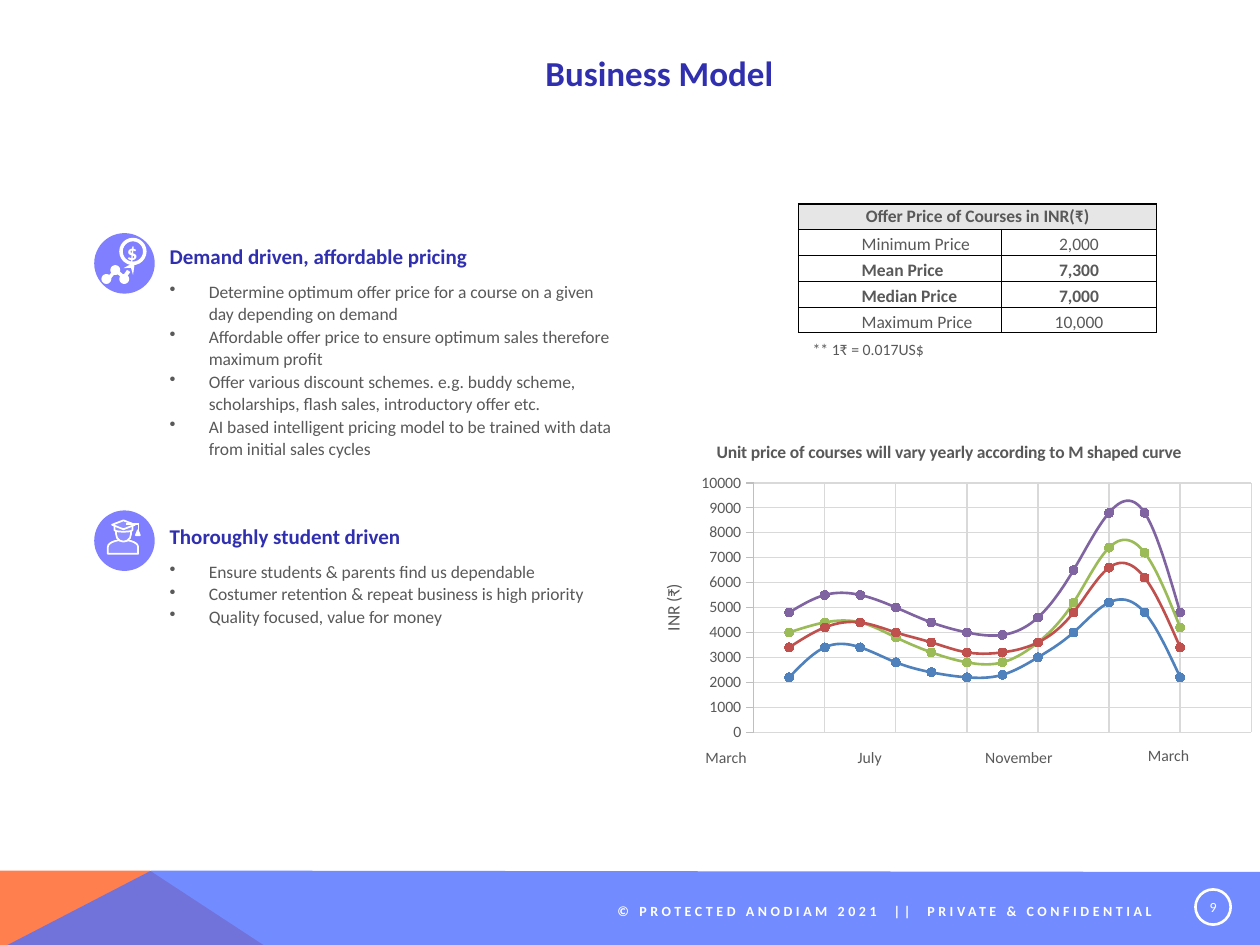
import pptx
import pptx.chart.data
import pptx.dml.color
import pptx.enum.chart
import pptx.enum.shapes
import pptx.enum.text
import pptx.oxml
import pptx.oxml.ns
import pptx.util
from lxml import etree

Cm, Pt, qn = pptx.util.Cm, pptx.util.Pt, pptx.oxml.ns.qn
SHAPE = pptx.enum.shapes.MSO_SHAPE
ALIGN = pptx.enum.text.PP_ALIGN
ANCHOR = pptx.enum.text.MSO_ANCHOR
FONT = "Calibri"
COLORS = {
    "heading": "2F2FAF", "body": "595959", "white": "FFFFFF", "black": "000000",
    "table_head": "E7E6E6", "grid": "D9D9D9", "axis": "BFBFBF",
    "orange": "FF7F4F", "band": "4F6FFF", "disc": "7F7FFF", "student": "8F8FFF",
}
PRICES = [("Minimum Price", "2,000", False), ("Mean Price", "7,300", True),
          ("Median Price", "7,000", True), ("Maximum Price", "10,000", False)]
PRICE_CURVES = [
    ("4F81BD", [2200, 3400, 3400, 2800, 2400, 2200, 2300, 3000, 4000, 5200, 4800, 2200]),
    ("C0504D", [3400, 4200, 4400, 4000, 3600, 3200, 3200, 3600, 4800, 6600, 6200, 3400]),
    ("9BBB59", [4000, 4400, 4400, 3800, 3200, 2800, 2800, 3600, 5200, 7400, 7200, 4200]),
    ("8064A2", [4800, 5500, 5500, 5000, 4400, 4000, 3900, 4600, 6500, 8800, 8800, 4800]),
]
MONTHS = [("March", 13.97, 14.94), ("July", 17.04, 14.94),
          ("November", 19.61, 14.94), ("March", 22.89, 14.91)]
TOPICS = [
    ("Demand driven, affordable pricing", [
        "Determine optimum offer price for a course on a given day depending on demand",
        "Affordable offer price to ensure optimum sales therefore maximum profit",
        "Offer various discount schemes. e.g. buddy scheme, scholarships, flash sales, "
        "introductory offer etc.",
        "AI based intelligent pricing model to be trained with data from initial sales cycles"]),
    ("Thoroughly student driven", [
        "Ensure students & parents find us dependable",
        "Costumer retention & repeat business is high priority",
        "Quality focused, value for money"]),
]


def rgb(color):
    return pptx.dml.color.RGBColor.from_string(COLORS.get(color, color))


def style_font(font, size, color, bold=False):
    font.name, font.size, font.bold = FONT, Pt(size), bold
    font.color.rgb = rgb(color)


def add_run(paragraph, text, size, color, bold=False):
    run = paragraph.add_run()
    run.text = text
    style_font(run.font, size, color, bold)
    return run


def paint(shape, fill=None, line=None, width=1):
    shape.shadow.inherit = False
    if fill:
        shape.fill.solid()
        shape.fill.fore_color.rgb = rgb(fill)
    else:
        shape.fill.background()
    if line:
        shape.line.color.rgb = rgb(line)
        shape.line.width = Pt(width)
    else:
        shape.line.fill.background()


def add_preset(shapes, preset, box, fill=None, line=None, width=1, rotation=0):
    shape = shapes.add_shape(preset, *map(Cm, box))
    paint(shape, fill, line, width)
    shape.rotation = rotation
    return shape


def add_line(shapes, start, end, width):
    line = shapes.add_connector(pptx.enum.shapes.MSO_CONNECTOR.STRAIGHT,
                                *map(Cm, start + end))
    line.line.color.rgb = rgb("white")
    line.line.width = Pt(width)
    etree.SubElement(line._element.spPr, qn("a:effectLst"))
    return line


def add_polygon(shapes, points, fill):
    corners = [(Cm(x), Cm(y)) for x, y in points]
    builder = shapes.build_freeform(*corners[0])
    builder.add_line_segments(corners[1:], close=True)
    polygon = builder.convert_to_shape()
    paint(polygon, fill)
    return polygon


def add_label(shapes, box, text, size, color, bold=False, align=ALIGN.LEFT, wrap=False):
    label = shapes.add_textbox(*map(Cm, box))
    frame = label.text_frame
    frame.word_wrap = wrap
    frame.auto_size = pptx.enum.text.MSO_AUTO_SIZE.SHAPE_TO_FIT_TEXT
    frame.paragraphs[0].alignment = align
    return frame, add_run(frame.paragraphs[0], text, size, color, bold)


def indent(paragraph, left, hanging=0, bullet=None):
    props = paragraph._p.get_or_add_pPr()
    props.set("marL", str(Cm(left)))
    props.set("indent", str(-Cm(hanging)))
    if bullet:
        etree.SubElement(props, qn("a:buChar"), char=bullet)


def add_topics(shapes):
    frame = shapes.add_textbox(Cm(1.9), Cm(4.75), Cm(10.8), Cm(8.1)).text_frame
    frame.word_wrap = True
    paragraph = frame.paragraphs[0]
    for number, (heading, points) in enumerate(TOPICS):
        if number:
            paragraph.space_after = Pt(36)
            paragraph = frame.add_paragraph()
        indent(paragraph, 1.27)
        paragraph.line_spacing, paragraph.space_after = 1.07, Pt(6)
        add_run(paragraph, heading, 12, "heading", True)
        for point in points:
            paragraph = frame.add_paragraph()
            indent(paragraph, 2.06, 0.79, "•")
            paragraph.line_spacing, paragraph.space_after = 1.07, Pt(0)
            add_run(paragraph, point, 10, "body")


def style_cell(cell, widths, fill=None):
    """Set border widths in points, ordered left, right, top, bottom, and the fill."""
    cell.margin_left = cell.margin_right = cell.margin_top = cell.margin_bottom = 0
    props = cell._tc.get_or_add_tcPr()
    for side, width in zip("LRTB", widths):
        border = etree.SubElement(props, qn("a:ln" + side), w=str(Pt(width)))
        solid = etree.SubElement(border, qn("a:solidFill"))
        etree.SubElement(solid, qn("a:srgbClr"), val=COLORS["black"])
    if fill:
        cell.fill.solid()
        cell.fill.fore_color.rgb = rgb(fill)
    else:
        cell.fill.background()


def add_price_table(shapes):
    table = shapes.add_table(5, 2, Cm(16.1), Cm(4.11), Cm(7.21), Cm(2.6)).table
    table.first_row = table.horz_banding = False
    table.columns[0].width, table.columns[1].width = Cm(4.09), Cm(3.12)
    for row in table.rows:
        row.height = Cm(0.52)
    heading = table.cell(0, 0)
    heading.merge(table.cell(0, 1))
    for column in range(2):
        style_cell(table.cell(0, column), (1, 1, 1, 1), "table_head")
    heading.vertical_anchor = ANCHOR.MIDDLE
    title = heading.text_frame.paragraphs[0]
    title.alignment = ALIGN.CENTER
    add_run(title, "Offer Price of Courses in INR(₹)", 10, "body", True)
    for row, (measure, price, bold) in enumerate(PRICES, 1):
        top = 1 if row == 1 else 0.5
        for column, text in enumerate((measure, price)):
            cell = table.cell(row, column)
            style_cell(cell, (0.5, 1, top, 0.5) if column else (1, 0.5, top, 0.5))
            cell.vertical_anchor = ANCHOR.BOTTOM
            paragraph = cell.text_frame.paragraphs[0]
            if column:
                paragraph.alignment = ALIGN.CENTER
            else:
                indent(paragraph, 1.27)
            add_run(paragraph, text, 10, "body", bold)


def add_price_chart(shapes):
    curves = pptx.chart.data.XyChartData()
    for number, (_, prices) in enumerate(PRICE_CURVES, 1):
        series = curves.add_series(f"Series {number}")
        for month, price in enumerate(prices, 1):
            series.add_data_point(month, price)
    chart = shapes.add_chart(pptx.enum.chart.XL_CHART_TYPE.XY_SCATTER_SMOOTH, Cm(12.78),
                             Cm(8.56), Cm(12.7), Cm(6.53), curves).chart
    style_font(chart.font, 10, "body")
    chart.has_legend = False
    chart.has_title = True
    add_run(chart.chart_title.text_frame.paragraphs[0],
            "Unit price of courses will vary yearly according to M shaped curve",
            10, "body", True)
    chart.plots[0].vary_by_categories = False
    for series, (color, _) in zip(chart.plots[0].series, PRICE_CURVES):
        series._element.get_or_add_smooth().set("val", "1")
        series.format.line.color.rgb = rgb(color)
        series.format.line.width = Pt(1.5)
        series.marker.style = pptx.enum.chart.XL_MARKER_STYLE.CIRCLE
        series.marker.size = 5
        series.marker.format.fill.solid()
        series.marker.format.fill.fore_color.rgb = rgb(color)
        series.marker.format.line.color.rgb = rgb(color)
    months, price_axis = chart.category_axis, chart.value_axis
    for axis, top, step in ((months, 14, 2), (price_axis, 10000, 1000)):
        axis.minimum_scale, axis.maximum_scale, axis.major_unit = 0, top, step
        axis.has_major_gridlines = True
        axis.major_gridlines.format.line.color.rgb = rgb("grid")
        axis.major_gridlines.format.line.width = Pt(0.75)
    months.visible = False
    price_axis.format.line.color.rgb = rgb("axis")
    price_axis.format.line.width = Pt(0.75)
    price_axis.major_tick_mark = pptx.enum.chart.XL_TICK_MARK.OUTSIDE
    style_font(price_axis.tick_labels.font, 9, "body")
    unit = price_axis.axis_title.text_frame
    unit._txBody.bodyPr.set("rot", "-5400000")
    add_run(unit.paragraphs[0], "INR (₹)", 10, "body")
    plot_area = chart._chartSpace.chart.plotArea
    for old in plot_area.findall(qn("c:layout")):
        plot_area.remove(old)
    layout = etree.Element(qn("c:layout"))
    manual = etree.SubElement(layout, qn("c:manualLayout"))
    for tag, value in (("layoutTarget", "inner"), ("xMode", "edge"), ("yMode", "edge"),
                       ("x", "0.19"), ("y", "0.18"), ("w", "0.79"), ("h", "0.77")):
        etree.SubElement(manual, qn("c:" + tag), val=value)
    plot_area.insert(0, layout)


def add_footer(shapes):
    add_polygon(shapes, [(0, 19.05), (0, 17.55), (3.02, 17.55), (5.31, 19.05)], "orange")
    band = add_polygon(shapes, [(0, 19.13), (3.05, 17.55), (25.4, 17.58), (25.4, 19.13)], "band")
    tint = band._element.spPr.find(".//" + qn("a:srgbClr"))
    etree.SubElement(tint, qn("a:alpha"), val="80000")
    badge = add_preset(shapes, SHAPE.OVAL, (24.1, 17.93, 0.71, 0.71), None, "white", 1.5)
    frame = badge.text_frame
    frame.margin_left = frame.margin_right = frame.margin_top = frame.margin_bottom = Cm(0.03)
    frame.vertical_anchor = ANCHOR.MIDDLE
    frame.paragraphs[0].alignment = ALIGN.CENTER
    add_run(frame.paragraphs[0], "9", 8, "white")
    frame, notice = add_label(shapes, (8.71, 17.93, 14.78, 0.86),
                              "© PROTECTED ANODIAM 2021  ||  PRIVATE & CONFIDENTIAL",
                              8, "white", True, ALIGN.RIGHT, True)
    frame.auto_size = pptx.enum.text.MSO_AUTO_SIZE.NONE
    frame.vertical_anchor = ANCHOR.MIDDLE
    notice.font._element.set("spc", "200")


def add_student_icon(shapes):
    add_preset(shapes, SHAPE.OVAL, (1.9, 10.29, 1.22, 1.22), "disc")
    for preset, box, rotation in (
            (SHAPE.FLOWCHART_DELAY, (2.34, 10.72, 0.28, 0.61), 270),
            (SHAPE.FLOWCHART_DELAY, (2.34, 10.62, 0.3, 0.3), 90),
            (SHAPE.FLOWCHART_MAGNETIC_DISK, (2.31, 10.54, 0.36, 0.18), 0),
            (SHAPE.DIAMOND, (2.26, 10.49, 0.46, 0.18), 0)):
        add_preset(shapes, preset, box, "student", "white", 1, rotation)
    add_line(shapes, (2.54, 10.57), (2.79, 10.57), 1)
    add_line(shapes, (2.79, 10.54), (2.79, 10.77), 1)
    add_preset(shapes, SHAPE.ISOSCELES_TRIANGLE, (2.74, 10.69, 0.08, 0.1), "white", "white")


def add_pricing_icon(shapes):
    add_preset(shapes, SHAPE.OVAL, (1.9, 4.7, 1.22, 1.22), "disc")
    add_preset(shapes, SHAPE.OVAL, (2.44, 4.83, 0.48, 0.48), None, "white", 2)
    for left, top in ((2.44, 5.56), (2.26, 5.38), (2.08, 5.56)):
        add_preset(shapes, SHAPE.OVAL, (left, top, 0.13, 0.13), "white", "white", 2)
    add_line(shapes, (2.29, 5.41), (2.46, 5.56), 2)
    add_line(shapes, (2.21, 5.59), (2.36, 5.41), 2)
    pointer = add_line(shapes, (2.72, 5.28), (2.49, 5.61), 2.25)
    etree.SubElement(pointer.line._get_or_add_ln(), qn("a:headEnd"), type="stealth")
    add_label(shapes, (2.31, 4.7, 0.69, 0.76), "$", 12, "white", True, wrap=True)


def main():
    deck = pptx.Presentation()
    deck.slide_width, deck.slide_height = Cm(25.4), Cm(19.05)
    shapes = deck.slides.add_slide(deck.slide_layouts[6]).shapes
    add_price_table(shapes)
    add_price_chart(shapes)
    add_footer(shapes)
    add_label(shapes, (16.13, 6.73, 2.77, 0.64), "** 1₹ = 0.017US$", 9, "body")
    for month, left, top in MONTHS:
        add_label(shapes, (left, top, 0.5 + 0.18 * len(month), 0.64), month, 9, "body")
    add_topics(shapes)
    add_student_icon(shapes.add_group_shape().shapes)
    add_pricing_icon(shapes.add_group_shape().shapes)
    add_label(shapes, (4.9, 0.91, 16.79, 1.12), "Business Model", 20, "heading", True,
              ALIGN.CENTER, True)
    deck.save("out.pptx")


if __name__ == "__main__":
    main()
